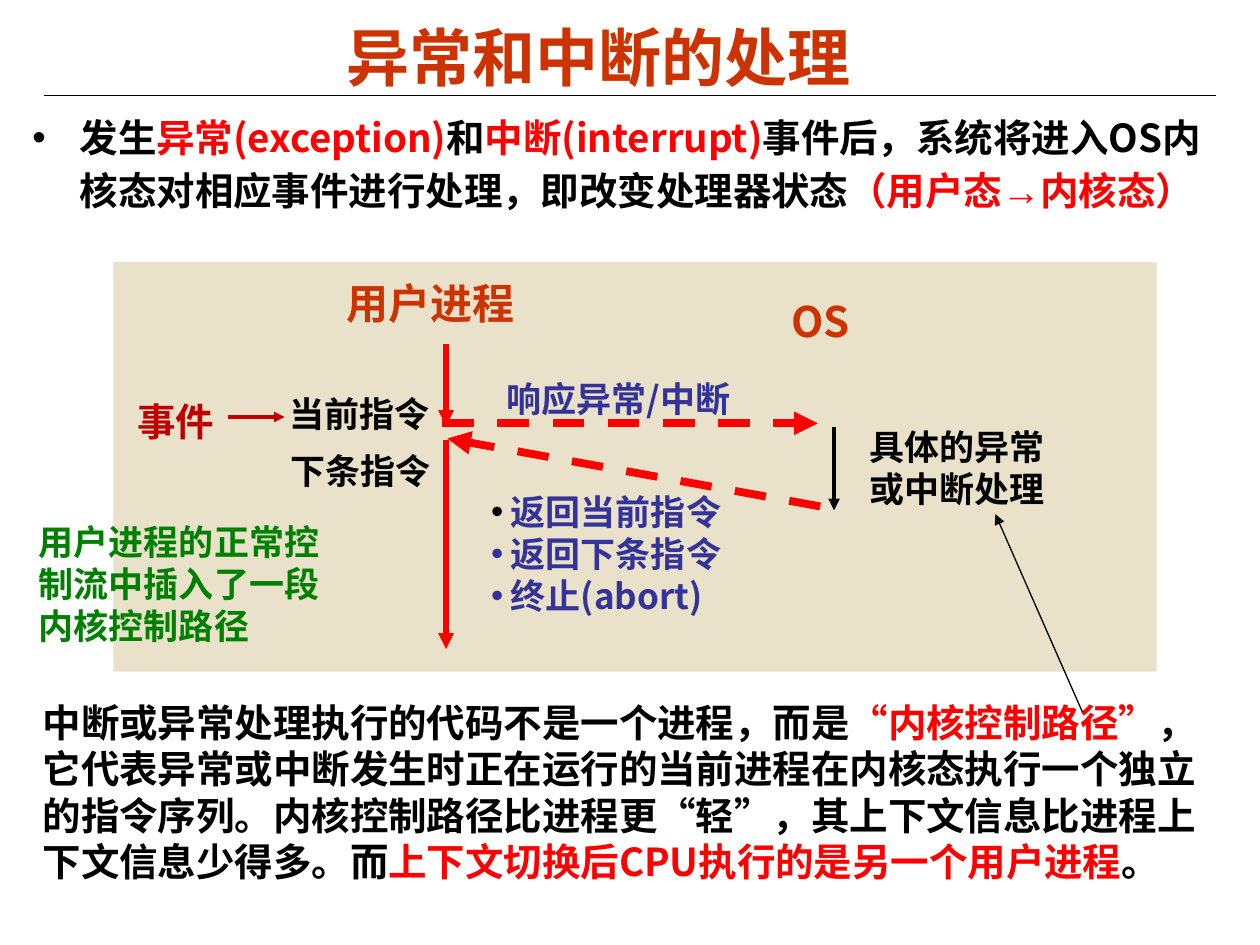
from pptx import Presentation
from pptx.dml.color import RGBColor
from pptx.enum.dml import MSO_LINE
from pptx.enum.shapes import MSO_CONNECTOR, MSO_SHAPE
from pptx.enum.text import MSO_ANCHOR, PP_ALIGN
from pptx.oxml.ns import qn
from pptx.util import Pt
from lxml import etree

BLACK = RGBColor(0x00, 0x00, 0x00)
RED = RGBColor(0xFF, 0x00, 0x00)
DARK_RED = RGBColor(0xC0, 0x00, 0x00)
ORANGE = RGBColor(0xCC, 0x33, 0x00)
BLUE = RGBColor(0x33, 0x33, 0x99)
GREEN = RGBColor(0x00, 0x80, 0x00)
BEIGE = RGBColor(0xE9, 0xE1, 0xC9)

STRAIGHT = MSO_CONNECTOR.STRAIGHT
RECTANGLE = MSO_SHAPE.RECTANGLE
DASH = MSO_LINE.DASH
TOP = MSO_ANCHOR.TOP
LEFT, CENTER = PP_ALIGN.LEFT, PP_ALIGN.CENTER

NOTO, ARIAL, CALIBRI = "Noto Sans CJK SC", "Arial", "Calibri"


def add_run(paragraph, text, *, size, color, font):
    run = paragraph.add_run()
    run.text = text
    run.font.size = Pt(size)
    run.font.bold = True
    run.font.color.rgb = color
    run.font.name = font
    east_asian = etree.SubElement(run.font._element, qn("a:ea"))
    east_asian.set("typeface", font)


def add_bullet(paragraph, indent, color):
    properties = paragraph._p.get_or_add_pPr()
    properties.set("marL", str(Pt(indent)))
    properties.set("indent", str(-Pt(indent)))
    bullet_color = etree.SubElement(properties, qn("a:buClr"))
    etree.SubElement(bullet_color, qn("a:srgbClr")).set("val", str(color))
    etree.SubElement(properties, qn("a:buFont")).set("typeface", ARIAL)
    etree.SubElement(properties, qn("a:buChar")).set("char", "•")


class SlideBuilder:
    def __init__(self, slide):
        self.slide = slide

    def panel(self, left, top, width, height, color):
        shape = self.slide.shapes.add_shape(
            RECTANGLE, Pt(left), Pt(top), Pt(width), Pt(height))
        shape.shadow.inherit = False
        shape.fill.solid()
        shape.fill.fore_color.rgb = color
        shape.line.fill.background()

    def line(self, start, end, color, width, arrow=True, dash=None):
        connector = self.slide.shapes.add_connector(
            STRAIGHT, Pt(start[0]), Pt(start[1]), Pt(end[0]), Pt(end[1]))
        connector.line.color.rgb = color
        connector.line.width = Pt(width)
        if dash:
            connector.line.dash_style = dash
        if arrow:
            line = connector.line._get_or_add_ln()
            etree.SubElement(line, qn("a:tailEnd")).set("type", "triangle")
        etree.SubElement(connector._element.spPr, qn("a:effectLst"))

    def text(self, paragraphs, left, top, width, height, *, size=20, color=BLACK,
             font=NOTO, wrap=True, align=LEFT, spacing=None, indent=0,
             bullet_colors=()):
        """Each paragraph is a string, or a list of (text, color[, font]) runs."""
        box = self.slide.shapes.add_textbox(
            Pt(left), Pt(top), Pt(width), Pt(height))
        frame = box.text_frame
        frame.word_wrap = wrap
        frame.vertical_anchor = TOP
        for index, runs in enumerate(paragraphs):
            paragraph = frame.add_paragraph() if index else frame.paragraphs[0]
            paragraph.alignment = align
            if spacing:
                paragraph.line_spacing = spacing
            if bullet_colors:
                add_bullet(paragraph, indent, bullet_colors[index])
            if isinstance(runs, str):
                runs = [(runs, color)]
            for words, run_color, *run_font in runs:
                add_run(paragraph, words, size=size, color=run_color,
                        font=run_font[0] if run_font else font)


def main():
    presentation = Presentation()
    presentation.slide_width, presentation.slide_height = Pt(720), Pt(540)
    builder = SlideBuilder(
        presentation.slides.add_slide(presentation.slide_layouts[6]))

    builder.line((25.2, 54.7), (694.8, 54.7), BLACK, 0.75, arrow=False)
    builder.panel(64.8, 149.8, 596.2, 234, BEIGE)
    builder.text(["异常和中断的处理"], 37.4, 7.2, 609.8, 43.2,
                 size=36, color=ORANGE, font=ARIAL, align=CENTER)
    builder.text([[
        ("发生", BLACK), ("异常(exception)", RED), ("和", BLACK),
        ("中断(interrupt)", RED),
        ("事件后，系统将进入OS内核态对相应事件进行处理，即改变处理器状态", BLACK),
        ("（用户态", RED), ("→内核态", RED, ARIAL), ("）", RED),
    ]], 11.5, 57.6, 700.6, 86.4, size=22, spacing=1.15, indent=27,
        bullet_colors=[BLACK])

    # Control flow of the user process and the OS
    builder.text(["用户进程"], 190.8, 154.8, 110.2, 36,
                 size=24, color=ORANGE, font=CALIBRI, wrap=False)
    builder.text(["OS"], 445, 165.6, 48.2, 36, size=24, color=ORANGE, wrap=False)
    builder.line((254.9, 196.6), (254.9, 243.4), RED, 3)
    builder.line((476.6, 244.1), (476.6, 291.6), BLACK, 2.25)
    builder.line((254.9, 251.3), (254.9, 370.8), RED, 3)

    builder.text(["响应异常/中断"], 282.2, 212.4, 175, 31, color=BLUE)
    builder.text(["具体的异常或中断处理"], 489.6, 239.8, 131, 76.3, font=CALIBRI)
    builder.text(["返回当前指令", "返回下条指令", "终止(abort)"],
                 273.6, 276.5, 147.6, 79.2, color=BLUE, wrap=False,
                 indent=11.2, bullet_colors=[BLACK, BLUE, BLUE])
    builder.text(["事件"], 71.3, 223.9, 63.4, 33.1,
                 size=22, color=DARK_RED, font=CALIBRI)
    builder.text(["当前指令"], 158.4, 221, 108.7, 31)
    builder.text(["下条指令"], 159.1, 253.4, 94.3, 31, font=CALIBRI, wrap=False)
    builder.line((130.3, 238.3), (162.7, 238.3), DARK_RED, 2)

    builder.text([[
        ("中断或异常处理执行的代码不是一个进程，而是", BLACK),
        ("“内核控制路径”", RED),
        ("，它代表异常或中断发生时正在运行的当前进程在内核态执行一个独立的指令序列。"
         "内核控制路径比进程更“轻”，其上下文信息比进程上下文信息少得多。而", BLACK),
        ("上下文切换后CPU执行的是另一个用户进程", RED), ("。", BLACK),
    ]], 17.3, 396, 689.8, 113, size=22)

    builder.line((252.7, 241.9), (467.3, 241.9), RED, 4.5, dash=DASH)
    builder.line((468.7, 289.4), (255.6, 250.6), RED, 4.5, dash=DASH)
    builder.line((618.5, 406.8), (568.8, 293.8), BLACK, 0.75)
    builder.text(["用户进程的正常控制流中插入了一段内核控制路径"],
                 15.1, 293.8, 177.1, 79.2, color=GREEN, font=ARIAL)

    presentation.save("out.pptx")


if __name__ == "__main__":
    main()
